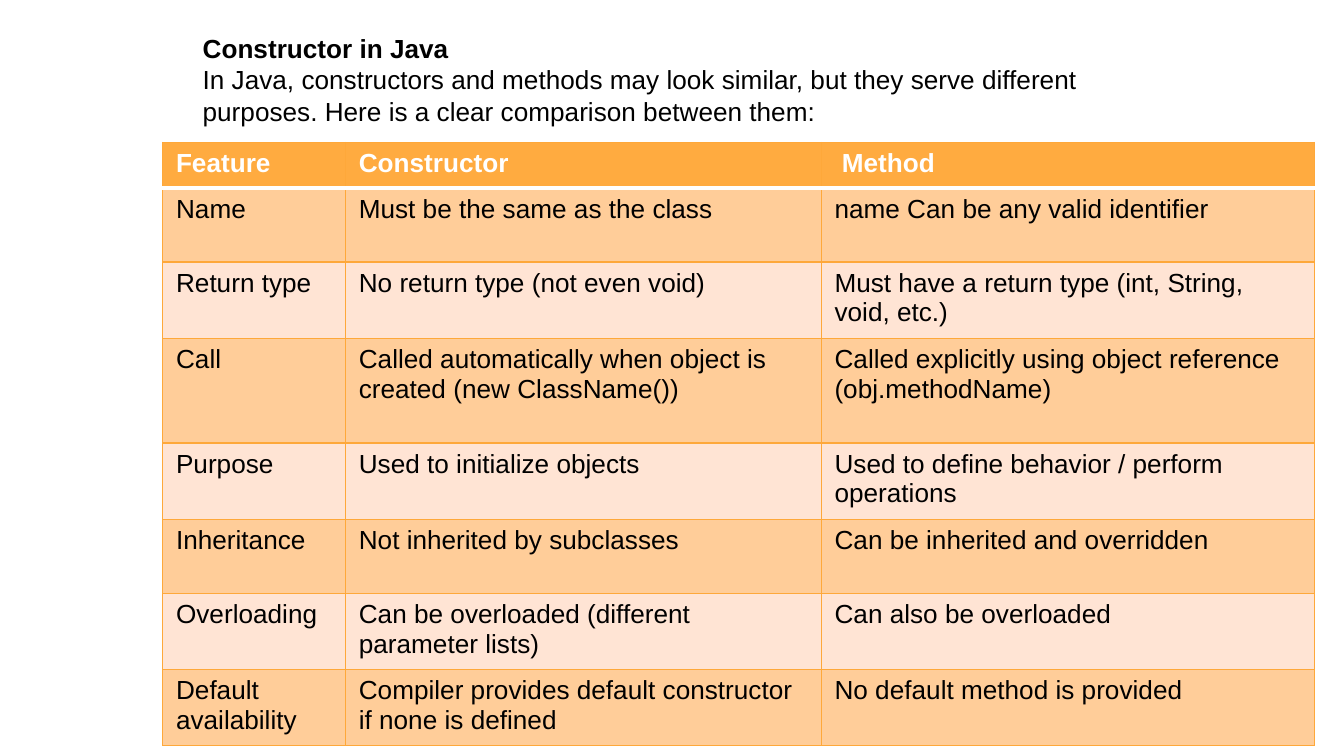
import pptx
import pptx.dml.color
import pptx.enum.text
import pptx.oxml
import pptx.oxml.ns
import pptx.util

WIDTH, HEIGHT = 10, 10 * 9 / 16
COLUMN_WIDTHS = [1.36, 3.54, 3.67]
ROW_HEIGHTS = [0.34, 0.55, 0.55, 0.78, 0.55, 0.55, 0.55, 0.55]
ROWS = [
    ("Feature", "Constructor", " Method"),
    ("Name", "Must be the same as the class", "name Can be any valid identifier"),
    ("Return type", "No return type (not even void)",
     "Must have a return type (int, String, void, etc.)"),
    ("Call", "Called automatically when object is created (new ClassName())",
     "Called explicitly using object reference (obj.methodName)"),
    ("Purpose", "Used to initialize objects",
     "Used to define behavior / perform operations"),
    ("Inheritance", "Not inherited by subclasses", "Can be inherited and overridden"),
    ("Overloading", "Can be overloaded (different parameter lists)",
     "Can also be overloaded"),
    ("Default availability", "Compiler provides default constructor if none is defined",
     "No default method is provided"),
]


def color(value):
    return pptx.dml.color.RGBColor.from_string(value)


def write(paragraph, text, size=14, font="Arial", ink="000000", bold=False):
    run = paragraph.add_run()
    run.text = text
    run.font.size = pptx.util.Pt(size)
    run.font.name = font
    run.font.bold = bold
    run.font.color.rgb = color(ink)


class SlideBuilder:
    header_fill = "FFAB40"
    band_fills = ("FFE4D4", "FFCD99")
    border = ("FEA83A", 0.75)
    header_rule = ("FFFFFF", 2)

    def __init__(self, presentation):
        self.width = presentation.slide_width
        self.height = presentation.slide_height
        self.slide = presentation.slides.add_slide(presentation.slide_layouts[6])

    def area(self, left, top, width, height):
        return (round(left * self.width), round(top * self.height),
                round(width * self.width), round(height * self.height))

    def text(self, shares, lines):
        shape = self.slide.shapes.add_textbox(*self.area(*shares))
        frame = shape.text_frame
        frame.word_wrap = True
        frame.auto_size = pptx.enum.text.MSO_AUTO_SIZE.SHAPE_TO_FIT_TEXT
        for index, (text, bold) in enumerate(lines):
            paragraph = frame.add_paragraph() if index else frame.paragraphs[0]
            write(paragraph, text, bold=bold)

    def table(self, shares, rows, widths, heights):
        shape = self.slide.shapes.add_table(len(rows), len(widths), *self.area(*shares))
        table = shape.table
        for column, width in zip(table.columns, widths):
            column.width = pptx.util.Inches(width)
        for row, height in zip(table.rows, heights):
            row.height = pptx.util.Inches(height)
        for row_index, texts in enumerate(rows):
            for column_index, text in enumerate(texts):
                self.cell(table.cell(row_index, column_index), text, row_index)

    def cell(self, cell, text, row_index):
        header = row_index == 0
        write(cell.text_frame.paragraphs[0], text, bold=header,
              ink="FFFFFF" if header else "000000")
        cell.fill.solid()
        fill = self.header_fill if header else self.band_fills[row_index % 2]
        cell.fill.fore_color.rgb = color(fill)
        rules = dict.fromkeys("LRTB", self.border)
        if header:
            rules["B"] = self.header_rule
        elif row_index == 1:
            rules["T"] = self.header_rule
        properties = cell._tc.get_or_add_tcPr()
        for index, (side, (ink, points)) in enumerate(rules.items()):
            line = pptx.oxml.parse_xml(
                f'<a:ln{side} {pptx.oxml.ns.nsdecls("a")} w="{pptx.util.Pt(points)}">'
                f'<a:solidFill><a:srgbClr val="{ink}"/></a:solidFill></a:ln{side}>')
            properties.insert(index, line)


def main():
    presentation = pptx.Presentation()
    presentation.slide_width = pptx.util.Inches(WIDTH)
    presentation.slide_height = pptx.util.Inches(HEIGHT)
    builder = SlideBuilder(presentation)
    builder.text((1.41 / WIDTH, 0.19 / HEIGHT, 7.04 / WIDTH, 0.81 / HEIGHT), [
        ("Constructor in Java", True),
        ("In Java, constructors and methods may look similar, but they serve different "
         "purposes. Here is a clear comparison between them:", False),
    ])
    builder.table((1.21 / WIDTH, 1.06 / HEIGHT, sum(COLUMN_WIDTHS) / WIDTH,
                   sum(ROW_HEIGHTS) / HEIGHT), ROWS, COLUMN_WIDTHS, ROW_HEIGHTS)
    presentation.save("out.pptx")


if __name__ == "__main__":
    main()
